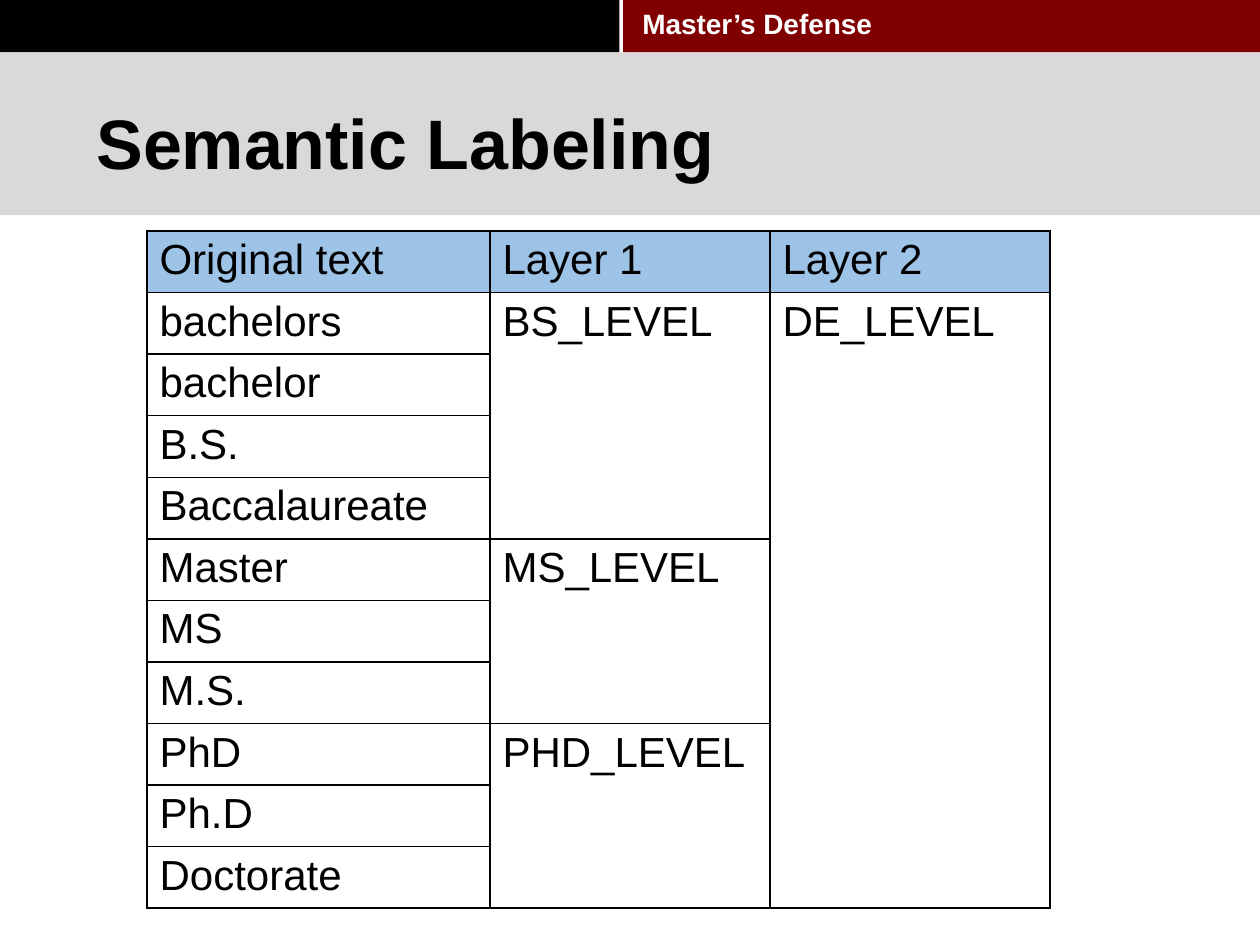
from lxml import etree
from pptx import Presentation
from pptx.dml.color import RGBColor
from pptx.enum import shapes, text
from pptx.oxml import ns
from pptx.util import Pt

COLORS = {
    "black": "000000",
    "maroon": "800000",
    "gray": "D9D9D9",
    "white": "FFFFFF",
    "blue": "9DC3E6",
}
HEADERS = ["Original text", "Layer 1", "Layer 2"]
GROUPS = {
    "BS_LEVEL": ["bachelors", "bachelor", "B.S.", "Baccalaureate"],
    "MS_LEVEL": ["Master", "MS", "M.S."],
    "PHD_LEVEL": ["PhD", "Ph.D", "Doctorate"],
}
TOP_LABEL = "DE_LEVEL"
COLUMN_WIDTHS = [196, 160, 160]
ROW_HEIGHT = 34


def color(name):
    """Return the named colour."""
    return RGBColor.from_string(COLORS[name])


def write(frame, wording, size=24, ink="black", bold=False):
    """Put formatted wording into a text frame."""
    span = frame.paragraphs[0].add_run()
    span.text = wording
    span.font.name = "Arial"
    span.font.size = Pt(size)
    span.font.bold = bold
    span.font.color.rgb = color(ink)


def add_band(page, left, top, width, height, fill):
    """Add a plain filled rectangle."""
    band = page.shapes.add_shape(
        shapes.MSO_SHAPE.RECTANGLE, Pt(left), Pt(top), Pt(width), Pt(height))
    band.shadow.inherit = False
    band.fill.solid()
    band.fill.fore_color.rgb = color(fill)
    band.line.fill.background()


def add_label(page, left, top, width, height, wording,
              anchor=text.MSO_ANCHOR.TOP, **style):
    """Add a wrapped text box."""
    box = page.shapes.add_textbox(Pt(left), Pt(top), Pt(width), Pt(height))
    box.text_frame.word_wrap = True
    box.text_frame.vertical_anchor = anchor
    write(box.text_frame, wording, **style)


def add_header(page, left, top, width, height):
    """Add the top bars and the title band."""
    bar = 30
    split = left + width / 2
    add_band(page, left, top, width / 2 - 6, bar, "black")
    add_band(page, split - 4, top, width / 2 + 4, bar, "maroon")
    add_band(page, left, top + bar, width, height - bar, "gray")
    add_label(page, split, top, 162, 27, "Master’s Defense",
              size=16, ink="white", bold=True)
    add_label(page, left + 48, top + 42, 578, 78, "Semantic Labeling",
              anchor=text.MSO_ANCHOR.MIDDLE, size=40, bold=True)


def add_borders(cell):
    """Draw thin black lines on all sides of a cell."""
    properties = cell._tc.get_or_add_tcPr()
    for place, side in enumerate(["lnL", "lnR", "lnT", "lnB"]):
        line = etree.Element(ns.qn(f"a:{side}"), w=str(Pt(1)))
        fill = etree.SubElement(line, ns.qn("a:solidFill"))
        etree.SubElement(fill, ns.qn("a:srgbClr"), val=COLORS["black"])
        properties.insert(place, line)


def style_cell(cell, is_header):
    """Set the margins, fill and borders of a cell."""
    cell.margin_top = cell.margin_bottom = Pt(3.2)
    if is_header:
        cell.fill.solid()
        cell.fill.fore_color.rgb = color("blue")
    else:
        cell.fill.background()
    add_borders(cell)


def add_label_table(page, left, top):
    """Add the table of words and their two layers of labels."""
    count = 1 + sum(len(words) for words in GROUPS.values())
    table = page.shapes.add_table(
        count, len(HEADERS), Pt(left), Pt(top),
        Pt(sum(COLUMN_WIDTHS)), Pt(count * ROW_HEIGHT)).table
    for column, width in zip(table.columns, COLUMN_WIDTHS):
        column.width = Pt(width)
    for index, row in enumerate(table.rows):
        row.height = Pt(ROW_HEIGHT)
        for cell in row.cells:
            style_cell(cell, index == 0)

    for column, heading in enumerate(HEADERS):
        write(table.cell(0, column).text_frame, heading)
    first = 1
    for label, words in GROUPS.items():
        for row, word in enumerate(words, first):
            write(table.cell(row, 0).text_frame, word)
        last = first + len(words) - 1
        table.cell(first, 1).merge(table.cell(last, 1))
        write(table.cell(first, 1).text_frame, label)
        first = last + 1
    table.cell(1, 2).merge(table.cell(count - 1, 2))
    write(table.cell(1, 2).text_frame, TOP_LABEL)


def main():
    """Build and save the deck."""
    deck = Presentation()
    deck.slide_width, deck.slide_height = Pt(720), Pt(540)
    page = deck.slides.add_slide(deck.slide_layouts[6])
    add_header(page, 0, 0, 720, 123)
    add_label_table(page, 84, 132)
    deck.save("out.pptx")


if __name__ == "__main__":
    main()
